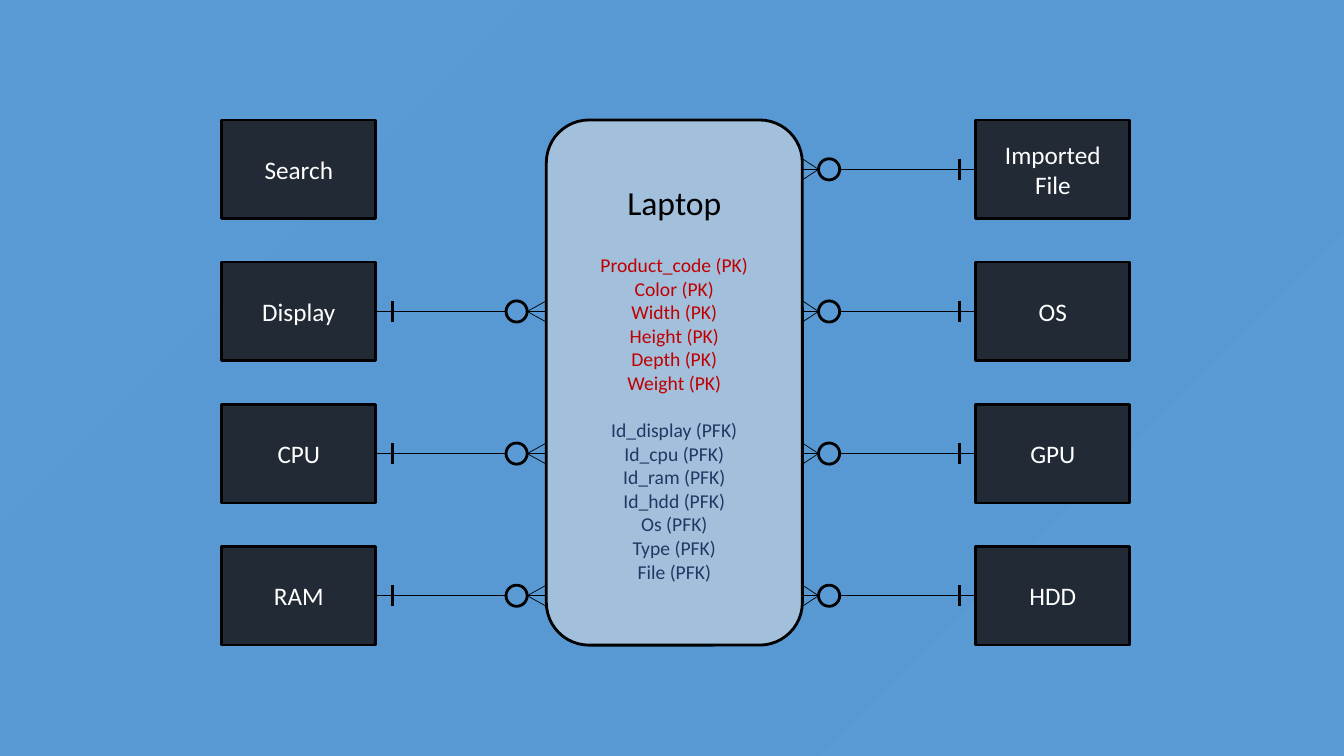
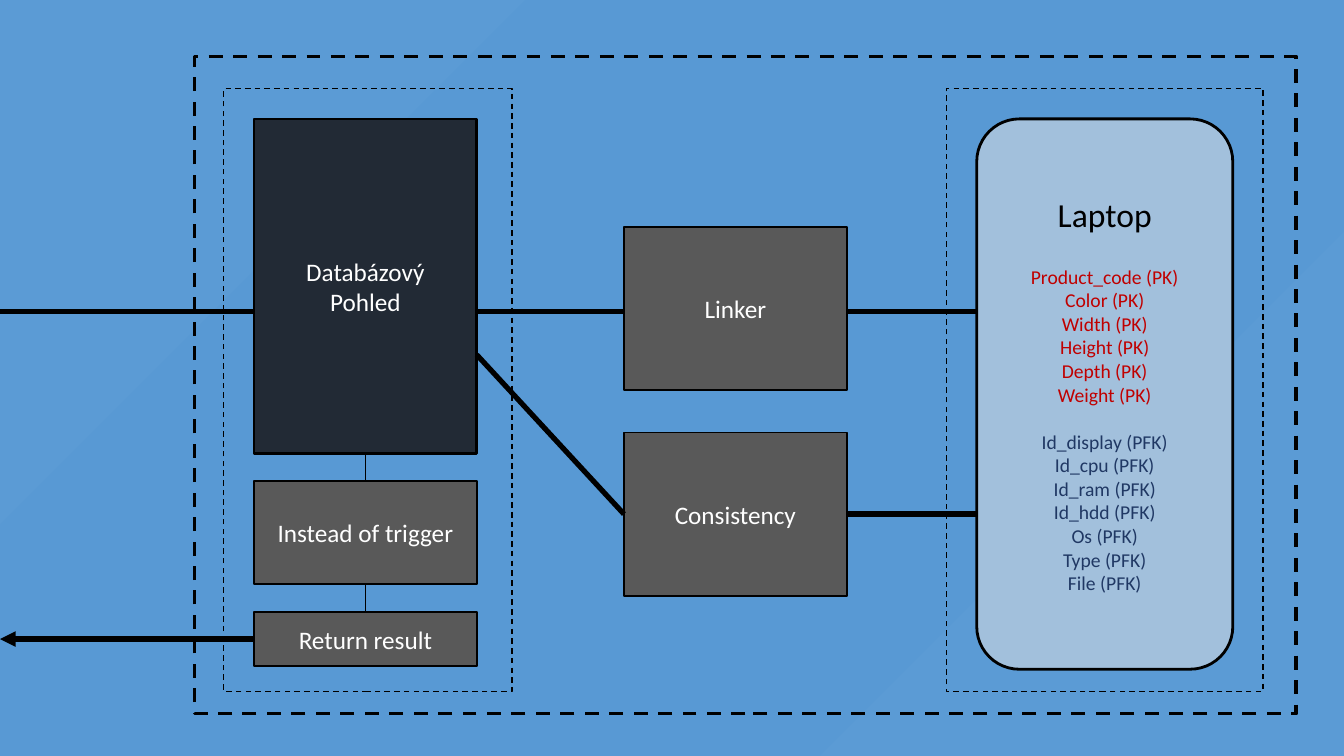
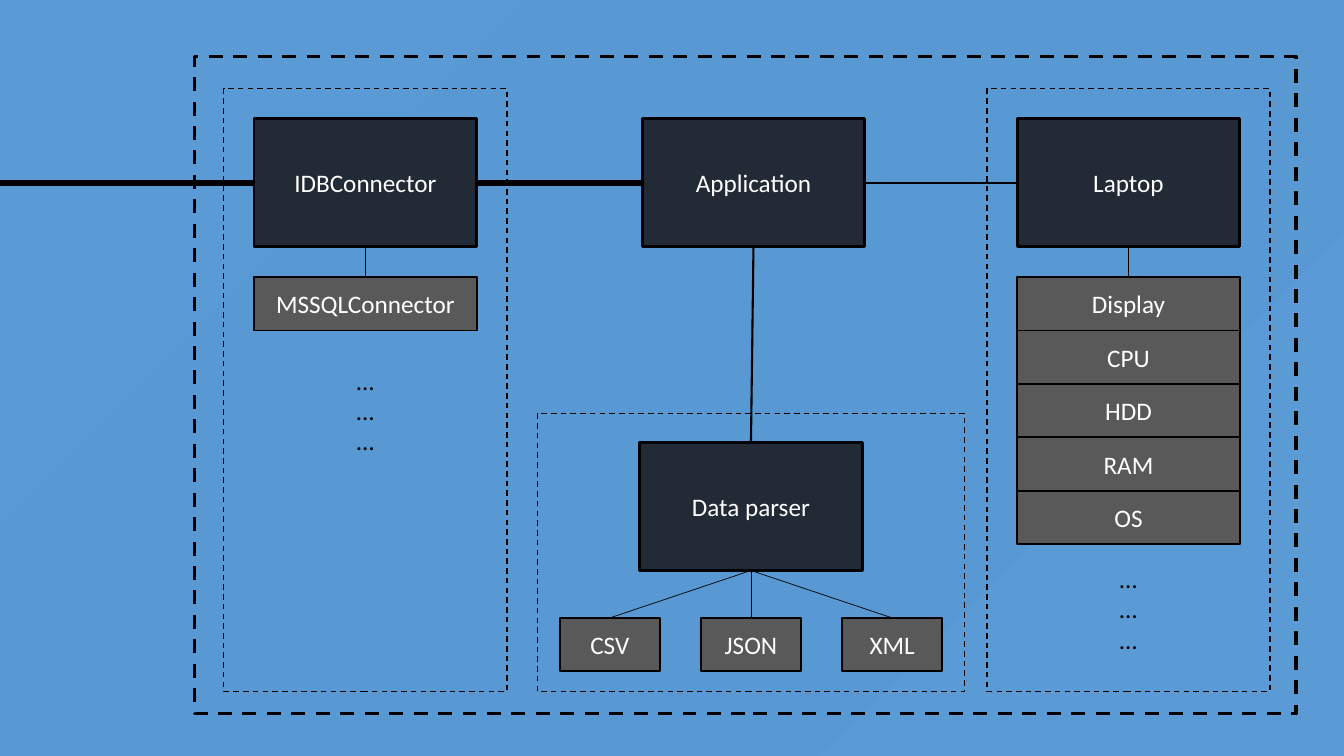
from copy import deepcopy
from dataclasses import dataclass

from lxml import etree
from pptx import Presentation
from pptx import util as u
from pptx.dml.color import RGBColor
from pptx.enum import dml, shapes, text
from pptx.oxml.ns import qn

COLS, ROWS = 133.33, 75
UNIT = u.Inches(0.1)


class Theme:
    """Colours, type sizes and line weights of the deck."""
    font = "Calibri"
    sky, haze = "5B9BD5", "5899D4"
    ink, white, red, navy = "000000", "FFFFFF", "C00000", "203864"
    head, body, small = 24, 18, 14
    thin, mid, bold, thick = 0.5, 1.5, 2, 3.75
    dark = ("222A35", 2, False)
    grey = ("595959", 1.25, False)
    pale = ("A2C0DC", 2, False)
    ring = (sky, 2, False)
    bay = (None, 1, True)
    hull = (None, 2.5, True)


@dataclass
class Box:
    """A rectangle in grid columns and rows."""
    x: float
    y: float
    w: float
    h: float

    @property
    def right(self):
        """Right edge."""
        return self.x + self.w

    @property
    def base(self):
        """Bottom edge."""
        return self.y + self.h

    @property
    def cx(self):
        """Middle column."""
        return self.x + self.w / 2

    @property
    def cy(self):
        """Middle row."""
        return self.y + self.h / 2

    def area(self, dx, dy, w, h):
        """Box placed relative to this one."""
        return Box(self.x + dx, self.y + dy, w, h)


def size(*vals):
    """Grid units as lengths."""
    return [int(v * UNIT) for v in vals]


def write(para, words, pt, tint):
    """Add one run to a paragraph."""
    run = para.add_run()
    run.text = words
    run.font.name = Theme.font
    run.font.size = u.Pt(pt)
    run.font.color.rgb = RGBColor.from_string(tint)


def fill(frame, rows, align=text.PP_ALIGN.CENTER):
    """Write rows of words, size, colour and space before."""
    for i, (words, pt, tint, gap) in enumerate(rows):
        para = frame.add_paragraph() if i else frame.paragraphs[0]
        para.alignment = align
        para.space_before = u.Pt(gap)
        write(para, words, pt, tint)


def shape(slide, box, look, kind=shapes.MSO_SHAPE.RECTANGLE):
    """Draw a preset shape in one of the theme looks."""
    tint, width, dash = look
    item = slide.shapes.add_shape(kind, *size(box.x, box.y, box.w, box.h))
    item.shadow.inherit = False
    if tint:
        item.fill.solid()
        item.fill.fore_color.rgb = RGBColor.from_string(tint)
    else:
        item.fill.background()
    item.line.color.rgb = RGBColor.from_string(Theme.ink)
    item.line.width = u.Pt(width)
    if dash:
        item.line.dash_style = dml.MSO_LINE.DASH
    return item


def block(slide, box, words, look=Theme.dark):
    """Draw a labelled box."""
    frame = shape(slide, box, look).text_frame
    frame.word_wrap = True
    frame.vertical_anchor = text.MSO_ANCHOR.MIDDLE
    fill(frame, [(w, Theme.body, Theme.white, 0) for w in words.split("\n")])
    return box


def wire(slide, x1, y1, x2, y2, width=Theme.thin, arrow=False):
    """Draw a straight line, with an arrowhead at its end on request."""
    item = slide.shapes.add_connector(
        shapes.MSO_CONNECTOR.STRAIGHT, *size(x1, y1, x2, y2))
    item.line.color.rgb = RGBColor.from_string(Theme.ink)
    item.line.width = u.Pt(width)
    if arrow:
        etree.SubElement(item.line._get_or_add_ln(), qn("a:tailEnd"), type="triangle")
    etree.SubElement(item._element.spPr, qn("a:effectLst"))


def panel(slide, box):
    """Draw the laptop table with its keys."""
    frame = shape(slide, box, Theme.pale,
                  shapes.MSO_SHAPE.ROUNDED_RECTANGLE).text_frame
    frame.word_wrap = True
    frame.vertical_anchor = text.MSO_ANCHOR.MIDDLE
    rows = [("Laptop", Theme.head, Theme.ink, 0)]
    groups = (
        ("PK", Theme.red, 22, "Product_code Color Width Height Depth Weight"),
        ("PFK", Theme.navy, 17, "Id_display Id_cpu Id_ram Id_hdd Os Type File"))
    for key, tint, gap, names in groups:
        for i, name in enumerate(names.split()):
            rows.append((f"{name} ({key})", Theme.small, tint, 0 if i else gap))
    fill(frame, rows)


def link(slide, far, near, y, gap):
    """Draw a one-to-many link from an entity to the panel edge."""
    way = 1 if near > far else -1
    dot, half = 2.1, 1.05
    tip = near - way * gap
    bar = far + way * 1.6
    wire(slide, far, y, near, y)
    wire(slide, bar, y - half, bar, y + half, Theme.bold)
    for dy in (-half, half):
        wire(slide, tip, y, near, y + dy)
    shape(slide, Box(tip - way * half - half, y - half, dot, dot), Theme.ring,
          shapes.MSO_SHAPE.FLOWCHART_CONNECTOR)


def stack(slide, box, items, gap, joins):
    """Stack labelled boxes down from the top, joining the first ones."""
    made, y = [], box.y
    for i, (words, high, look) in enumerate(items):
        item = block(slide, Box(box.x, y, box.w, high), words, look)
        if 0 < i <= joins:
            wire(slide, item.cx, made[-1].base, item.cx, y)
        made.append(item)
        y += high + (gap if i < joins else 0)
    return made


def bay(slide, box):
    """Draw a dashed bay and return the room inside it."""
    shape(slide, box, Theme.bay)
    return box.area(3, 3, box.w - 6, box.h - 6)


def dots(slide, box):
    """Write three rows of dots."""
    frame = slide.shapes.add_textbox(*size(box.x, box.y, box.w, box.h)).text_frame
    frame.word_wrap = False
    frame.auto_size = text.MSO_AUTO_SIZE.SHAPE_TO_FIT_TEXT
    fill(frame, [("…", Theme.body, Theme.ink, 0)] * 3, text.PP_ALIGN.LEFT)


def model(slide, box):
    """Entity diagram around the laptop table."""
    wide, high, step = 15.3, 9.8, 14.1
    core = box.area(32.2, 0, 25.4, box.h)
    panel(slide, core)
    pairs = (("Search", "Imported\nFile"), ("Display", "OS"),
             ("CPU", "GPU"), ("RAM", "HDD"))
    for i, (west, east) in enumerate(pairs):
        left = block(slide, box.area(0, i * step, wide, high), west)
        right = block(slide, box.area(box.w - wide, i * step, wide, high), east)
        if i:
            link(slide, left.right, core.x, left.cy, 1.9)
        link(slide, right.x, core.right, right.cy, 1.6)


def server(slide, box):
    """Database side: view, checks and table."""
    shape(slide, box, Theme.hull)
    room = bay(slide, box.area(2.9, 3.2, 28.6, 59.8))
    room.w = 22.1
    view, _, back = stack(slide, room, (
        ("Databázový\nPohled", 33.2, Theme.dark),
        ("Instead of trigger", 10.2, Theme.grey),
        ("Return result", 5.4, Theme.grey)), 2.75, 2)
    store = bay(slide, box.area(74.6, 3.2, 31.4, 59.8))
    store.h = 54.6
    tasks = [block(slide, box.area(42.6, 16.9 + i * 20.4, 22.1, 16.2), name, Theme.grey)
             for i, name in enumerate(("Linker", "Consistency"))]
    flow = 30.9
    for task, y in zip(tasks, (flow, tasks[1].cy)):
        wire(slide, task.right, y, store.x, y, Theme.thick)
    wire(slide, view.right, flow, tasks[0].x, flow, Theme.thick)
    wire(slide, view.right, 35.2, tasks[1].x, tasks[1].cy, Theme.thick)
    wire(slide, view.x, flow, 0, flow, Theme.thick)
    wire(slide, back.x, back.cy, 0, back.cy, Theme.thick, True)
    panel(slide, store)


def reader(slide, box):
    """Data parser with its file formats."""
    bay(slide, box)
    top = block(slide, box.area((box.w - 22.1) / 2, 2.9, 22.1, 12.7), "Data parser")
    wide, step = 9.9, 14
    for i, name in enumerate(("CSV", "JSON", "XML")):
        x = top.cx + (i - 1) * step
        kid = block(slide, Box(x - wide / 2, box.y + 20.3, wide, 5.3), name, Theme.grey)
        wire(slide, top.cx, top.base, kid.cx, kid.y)
    return top


def client(slide, box):
    """Application side: connector, parser and laptop pieces."""
    shape(slide, box, Theme.hull)
    high, low = 12.7, 5.3
    west = bay(slide, box.area(2.9, 3.2, 28.1, 59.8))
    base = stack(slide, west, (("IDBConnector", high, Theme.dark),
                               ("MSSQLConnector", low, Theme.grey)), 3, 1)[0]
    dots(slide, west.area(9.2, 23.9, 3.8, 10.1))
    east = bay(slide, box.area(78.6, 3.2, 28.1, 59.8))
    gear = [(name, low, Theme.grey) for name in ("Display", "CPU", "HDD", "RAM", "OS")]
    lap = stack(slide, east, [("Laptop", high, Theme.dark)] + gear, 3, 1)[0]
    dots(slide, east.area(9.2, 43.6, 3.8, 10.1))
    app = block(slide, box.area(44.4, 6.2, 22.1, high), "Application")
    tool = reader(slide, box.area(34, 35.4, 42.4, 27.6))
    wire(slide, tool.cx, tool.y, app.cx, app.base, Theme.mid)
    wire(slide, app.right, app.cy, lap.x, lap.cy, Theme.mid)
    wire(slide, base.right, base.cy, app.x, app.cy, Theme.thick)
    wire(slide, base.x, base.cy, 0, base.cy, Theme.thick)


def backdrop(master):
    """Give every slide the diagonal sky gradient."""
    paint = master.background.fill
    paint.gradient()
    paint.gradient_angle = 315
    stops = master.element.find(".//" + qn("p:bg")).find(".//" + qn("a:gsLst"))
    stops.append(deepcopy(stops[0]))
    tints = (Theme.sky, Theme.haze, Theme.sky)
    for i, (stop, tint) in enumerate(zip(paint.gradient_stops, tints)):
        stop.position = i / 2
        stop.color.rgb = RGBColor.from_string(tint)


def main():
    """Build and save the deck."""
    deck = Presentation()
    deck.slide_width, deck.slide_height = size(COLS, ROWS)
    backdrop(deck.slide_master)
    hull = Box(19.3, 5.6, 109.3, 65.2)
    for draw, box in ((model, Box(22, 11.9, 90.1, 52.1)), (server, hull), (client, hull)):
        draw(deck.slides.add_slide(deck.slide_layouts[6]), box)
    deck.save("out.pptx")


main()
